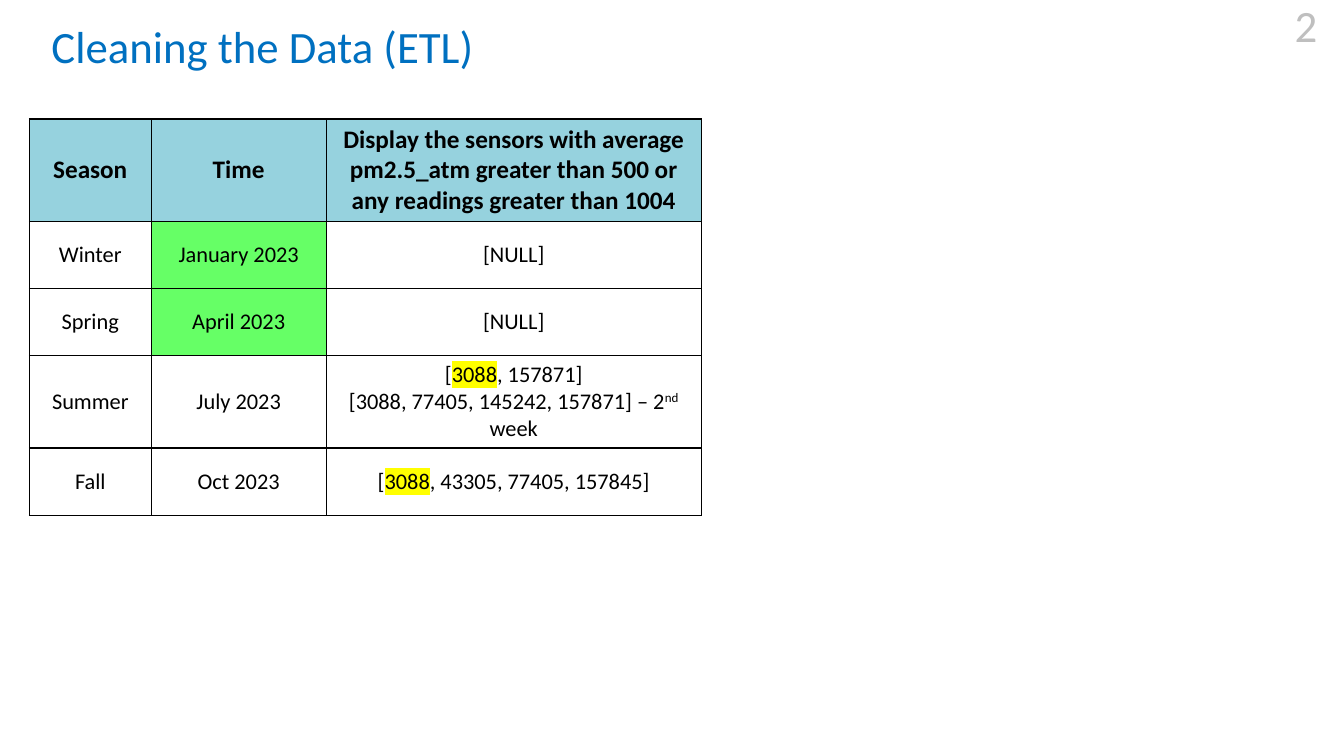
from lxml import etree
from pptx import Presentation
from pptx import util as u
from pptx.dml.color import RGBColor
from pptx.enum import text
from pptx.oxml import ns

Pt = u.Pt


def hue(code):
    return RGBColor.from_string(code)


class Deck:
    face = "Calibri"
    black, blue, grey = "000000", "0070C0", "BFBFBF"
    white, teal, green, yellow = "FFFFFF", "96D2DE", "66FF66", "FFFF00"

    def __init__(self):
        self.prs = Presentation()
        self.prs.slide_width, self.prs.slide_height = Pt(960), Pt(540)
        self.slide = self.prs.slides.add_slide(self.prs.slide_layouts[5])

    def style(self, para, size, color, align, bold=False):
        para.alignment = align
        font = para.font
        font.name, font.size, font.bold = self.face, Pt(size), bold
        font.color.rgb = hue(color)

    def node(self, parent, tag, **attrs):
        return etree.SubElement(parent, ns.qn("a:" + tag), **attrs)

    def label(self, shape, words, color, align, anchor):
        frame = shape.text_frame
        frame.word_wrap = True
        frame.auto_size = text.MSO_AUTO_SIZE.NONE
        frame.vertical_anchor = anchor
        frame.text = words
        self.style(frame.paragraphs[0], 32, color, align)

    def title(self, words, x, y, w, h):
        shape = self.slide.shapes.title
        shape.left, shape.top, shape.width, shape.height = map(Pt, (x, y, w, h))
        self.label(shape, words, self.blue, text.PP_ALIGN.JUSTIFY, text.MSO_ANCHOR.TOP)

    def number(self, words, x, y, w, h):
        shape = self.slide.shapes.add_textbox(*map(Pt, (x, y, w, h)))
        self.label(shape, words, self.grey, text.PP_ALIGN.RIGHT, text.MSO_ANCHOR.BOTTOM)

    def run(self, para, words, mark=None):
        run = para.add_run()
        run.text = words
        props = run._r.get_or_add_rPr()
        if mark == "high":
            self.node(self.node(props, "highlight"), "srgbClr", val=self.yellow)
        elif mark == "super":
            props.set("baseline", "30000")

    def cell(self, cell, lines, fill, size, bold):
        # Borders come before the fill in the cell properties
        props = cell._tc.get_or_add_tcPr()
        for side in ("lnL", "lnR", "lnT", "lnB"):
            line = self.node(props, side, w=str(Pt(1)))
            self.node(self.node(line, "solidFill"), "srgbClr", val=self.black)
        cell.fill.solid()
        cell.fill.fore_color.rgb = hue(fill)
        cell.vertical_anchor = text.MSO_ANCHOR.MIDDLE
        frame = cell.text_frame
        for i, parts in enumerate(lines):
            para = frame.add_paragraph() if i else frame.paragraphs[0]
            self.style(para, size, self.black, text.PP_ALIGN.CENTER, bold)
            for part in parts:
                self.run(para, *part)

    def table(self, rows, x, y, widths, heights, greens):
        frame = self.slide.shapes.add_table(
            len(rows), len(widths), Pt(x), Pt(y), Pt(sum(widths)), Pt(sum(heights)))
        table = frame.table
        table.first_row = table.horz_banding = False
        for col, width in zip(table.columns, widths):
            col.width = Pt(width)
        for r, row in enumerate(rows):
            table.rows[r].height = Pt(heights[r])
            for c, item in enumerate(row):
                lines = [[(item,)]] if isinstance(item, str) else item
                fill = self.teal if r == 0 else self.green if (r, c) in greens else self.white
                self.cell(table.cell(r, c), lines, fill, 16 if r else 18, r == 0)


def main():
    deck = Deck()

    # Heading and page number
    deck.title("Cleaning the Data (ETL)", 29.5, 10, 378, 46)
    deck.number("2", 908, 0.7, 40, 39.6)

    # Sensor readings by season
    sensor = ("3088", "high")
    summer = [
        [("[",), sensor, (", 157871]",)],
        [("[3088, 77405, 145242, 157871] – 2",), ("nd", "super"), (" week",)],
    ]
    fall = [[("[",), sensor, (", 43305, 77405, 157845]",)]]
    rows = [
        ("Season", "Time", "Display the sensors with average pm2.5_atm "
                           "greater than 500 or any readings greater than 1004"),
        ("Winter", "January 2023", "[NULL]"),
        ("Spring", "April 2023", "[NULL]"),
        ("Summer", "July 2023", summer),
        ("Fall", "Oct 2023", fall),
    ]
    deck.table(rows, 21, 85, (87, 125, 268), (72, 48, 48, 65, 48), {(1, 1), (2, 1)})

    deck.prs.save("out.pptx")


if __name__ == "__main__":
    main()
